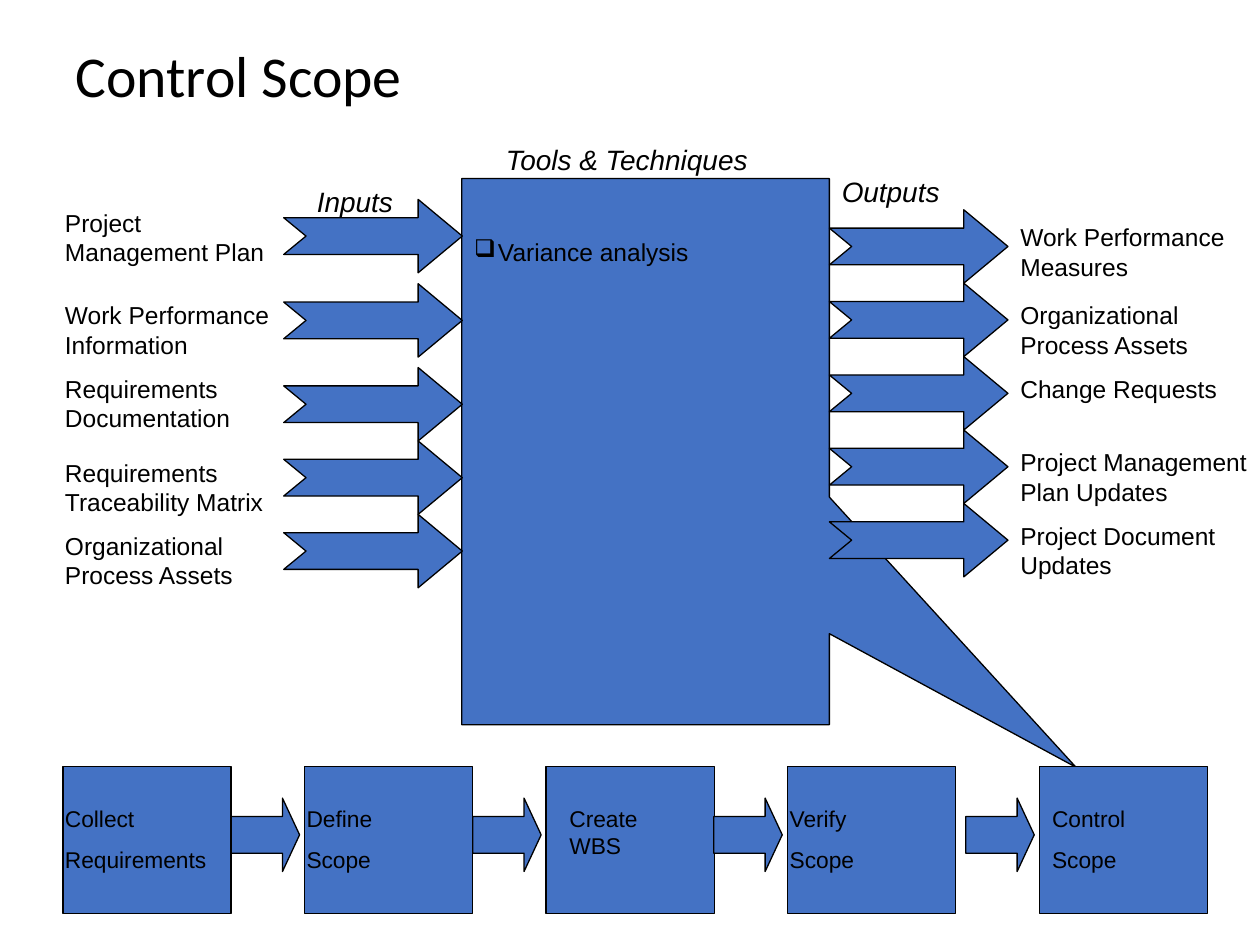
from lxml.etree import SubElement
from pptx import Presentation
from pptx.dml.color import RGBColor
from pptx.enum.shapes import MSO_SHAPE as Preset
from pptx.enum.text import MSO_ANCHOR as Anchor, MSO_AUTO_SIZE as AutoSize, PP_ALIGN as Align
from pptx.oxml.ns import qn
from pptx.util import Cm, Pt

BLUE = RGBColor(0x44, 0x72, 0xC4)
BLACK = RGBColor(0, 0, 0)

# Content: label, arrow top, label top, label width (cm)
INPUTS = [
    ("Project Management Plan", 4.02, 4.07, 4.87),
    ("Work Performance Information", 5.72, 5.93, 4.87),
    ("Requirements Documentation", 7.41, 7.41, 4.66),
    ("Requirements Traceability Matrix", 8.89, 9.1, 4.66),
    ("Organizational Process Assets", 10.37, 10.58, 4.66),
]
# Label, label top (cm); the output arrows are evenly stacked
OUTPUTS = [
    ("Work Performance Measures", 4.36),
    ("Organizational Process Assets", 5.93),
    ("Change Requests", 7.41),
    ("Project Management Plan Updates", 8.89),
    ("Project Document Updates", 10.37),
]
# Heading, left, top, width (cm)
HEADINGS = [
    ("Inputs", 6.14, 3.6, 4.02),
    ("Tools & Techniques", 9.95, 2.75, 6.77),
    ("Outputs", 16.72, 3.39, 4.02),
]
# Process step, box left, label offset from box, label width (cm)
STEPS = [
    ("Collect\nRequirements", 1.27, -0.21, 3.6),
    ("Define\nScope", 6.14, -0.21, 3.6),
    ("Create WBS", 11.01, 0.22, 2.96),
    ("Verify\nScope", 15.88, -0.21, 3.6),
    ("Control\nScope", 20.96, 0, 3.39),
]
STEP_ARROWS = [4.66, 9.53, 14.39, 19.47]

ARROW_HEIGHT = 1.48
INPUT_LEFT, TOOLS_LEFT, OUTPUT_LEFT, OUTPUT_TEXT_LEFT = 5.72, 9.31, 16.72, 20.32
# Notched arrow outline (cm)
ARROW_OUTLINE = [
    (0, 0.37), (2.71, 0.37), (2.71, 0), (3.6, 0.74),
    (2.71, 1.48), (2.71, 1.11), (0, 1.11), (0.45, 0.74),
]


def style_shape(shape):
    shape.shadow.inherit = False
    shape.fill.solid()
    shape.fill.fore_color.rgb = BLUE
    shape.line.color.rgb = BLACK
    shape.line.width = Pt(0.75)


def add_preset(slide, preset, left, top, width, height, adjustments=()):
    shape = slide.shapes.add_shape(preset, Cm(left), Cm(top), Cm(width), Cm(height))
    for index, value in enumerate(adjustments):
        shape.adjustments[index] = value
    style_shape(shape)


def add_notched_arrow(slide, left, top):
    points = [(Cm(left + x), Cm(top + y)) for x, y in ARROW_OUTLINE]
    builder = slide.shapes.build_freeform(*points[0])
    builder.add_line_segments(points[1:], close=True)
    style_shape(builder.convert_to_shape())


def format_run(run, size, font="Arial", italic=None):
    run.font.size = Pt(size)
    run.font.name = font
    run.font.italic = italic
    run.font.color.rgb = BLACK


def add_text(slide, text, left, top, width, height, size=14, space=8.8, italic=None):
    box = slide.shapes.add_textbox(Cm(left), Cm(top), Cm(width), Cm(height))
    frame = box.text_frame
    frame.word_wrap = True
    frame.auto_size = AutoSize.SHAPE_TO_FIT_TEXT
    frame.text = text
    for paragraph in frame.paragraphs:
        paragraph.space_before = Pt(space)
        for run in paragraph.runs:
            format_run(run, size, italic=italic)
    return box


def add_bullet(paragraph, character, indent):
    properties = paragraph._p.get_or_add_pPr()
    properties.set("marL", str(indent))
    properties.set("indent", str(-indent))
    color = SubElement(properties, qn("a:buClr"))
    SubElement(color, qn("a:srgbClr")).set("val", str(BLACK))
    SubElement(properties, qn("a:buChar")).set("char", character)


def label_height(text):
    return 0.86 if len(text) < 20 else 1.45


def main():
    presentation = Presentation()
    presentation.slide_width, presentation.slide_height = Cm(25.4), Cm(19.05)
    slide = presentation.slides.add_slide(presentation.slide_layouts[5])

    # Title
    title = slide.shapes.title
    title.left, title.top, title.width, title.height = Cm(1.27), Cm(0), Cm(22.86), Cm(3.18)
    frame = title.text_frame
    frame.text = "Control Scope"
    frame.vertical_anchor = Anchor.MIDDLE
    frame.auto_size = AutoSize.NONE
    paragraph = frame.paragraphs[0]
    paragraph.alignment = Align.LEFT
    paragraph.line_spacing = 0.9
    format_run(paragraph.runs[0], 33, "Calibri")

    # Tools and techniques callout, pointing at the last step
    add_preset(slide, Preset.RECTANGULAR_CALLOUT, TOOLS_LEFT, 3.6, 7.41, 11.01, (1.171, 0.578))
    tool = add_text(slide, "Variance analysis", TOOLS_LEFT, 4.66, 7.41, 0.86)
    add_bullet(tool.text_frame.paragraphs[0], "❑", Cm(0.48))

    # Inputs and outputs
    for text, arrow_top, text_top, width in INPUTS:
        add_notched_arrow(slide, INPUT_LEFT, arrow_top)
        add_text(slide, text, 1.06, text_top, width, label_height(text))
    for index, (text, text_top) in enumerate(OUTPUTS):
        add_notched_arrow(slide, OUTPUT_LEFT, 4.23 + index * ARROW_HEIGHT)
        add_text(slide, text, OUTPUT_TEXT_LEFT, text_top, 5.08, label_height(text))
    for text, left, top, width in HEADINGS:
        add_text(slide, text, left, top, width, 0.94, size=16, space=10, italic=True)

    # Process steps along the bottom
    for text, left, offset, width in STEPS:
        add_preset(slide, Preset.RECTANGLE, left, 15.45, 3.39, 2.96)
        add_text(slide, text, left + offset, 16.09, width, 1.65, size=13, space=8.1)
    for left in STEP_ARROWS:
        add_preset(slide, Preset.RIGHT_ARROW, left, 16.09, 1.38, ARROW_HEIGHT, (0.5, 0.25))

    presentation.save("out.pptx")


if __name__ == "__main__":
    main()
